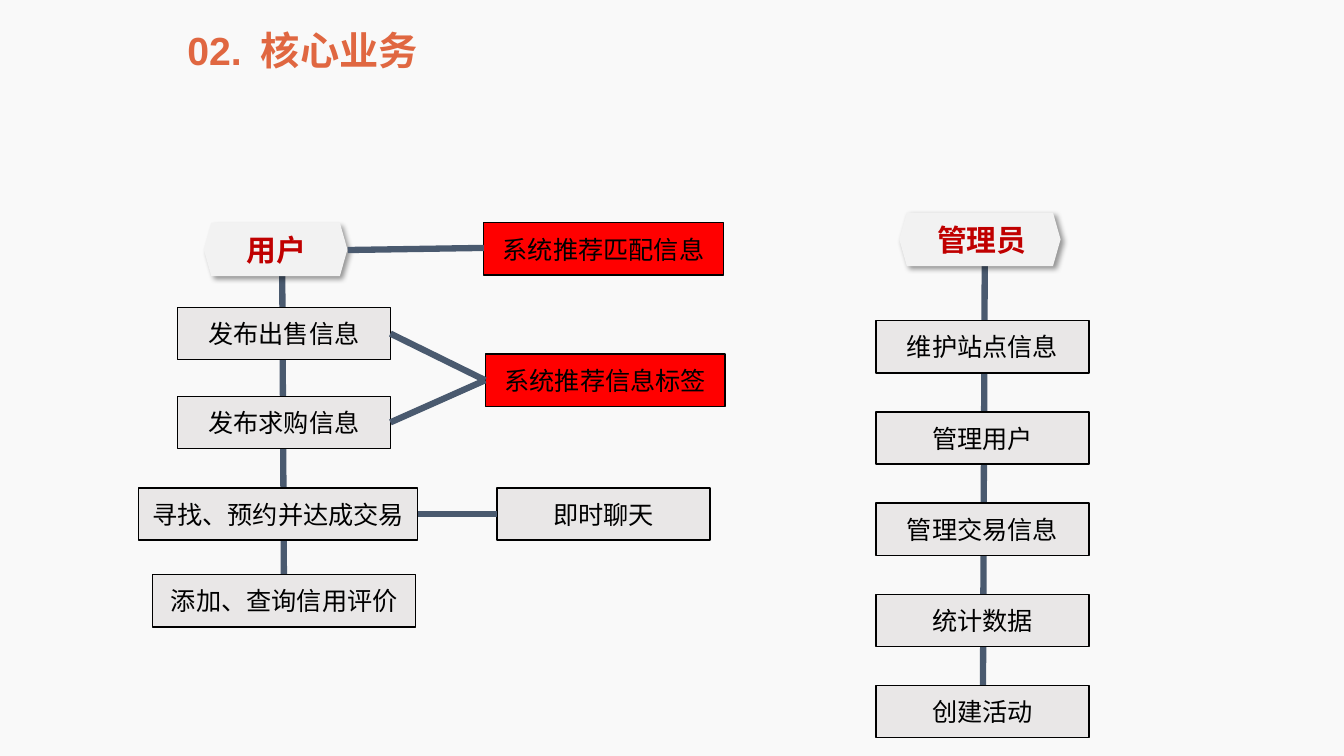
from dataclasses import dataclass

from lxml.etree import SubElement
from pptx import Presentation
from pptx.dml.color import RGBColor
from pptx.enum.shapes import MSO_CONNECTOR as Link, MSO_SHAPE as Kind
from pptx.enum.text import MSO_ANCHOR as Anchor, MSO_AUTO_SIZE as Fit, PP_ALIGN as Align
from pptx.oxml.ns import qn
from pptx.shapes.autoshape import Shape
from pptx.shapes.shapetree import GroupShapes, SlideShapes
from pptx.text.text import TextFrame
from pptx.util import Pt

PAPER = RGBColor(0xF9, 0xF9, 0xF9)
ORANGE = RGBColor(0xE0, 0x67, 0x41)
SLATE = RGBColor(0x4A, 0x5A, 0x6F)
GREY = RGBColor(0xE9, 0xE7, 0xE7)
PALE = RGBColor(0xF2, 0xF2, 0xF2)
RED = RGBColor(0xFF, 0, 0)
CRIMSON = RGBColor(0xC0, 0, 0)
BLACK = RGBColor(0, 0, 0)
LATIN = "Arial"
HAN = "Noto Sans CJK SC"
HIGH = 37.4
NOTCH = 5.4


@dataclass
class Box:
    text: str
    left: float
    top: float
    width: float = 152.2
    fill: RGBColor = GREY


@dataclass
class Line:
    x1: float
    y1: float
    x2: float
    y2: float


@dataclass
class Badge:
    text: str
    left: float
    top: float
    width: float
    label: float
    wide: float
    inset: float = 7.2


@dataclass
class Title:
    text: str
    left: float
    width: float


TITLES = [Title("核心业务", 179.3, 135.4), Title("02.", 126.7, 54)]

SPINES = [Line(703.4, 189.4, 702, 526.3), Line(201.6, 195.8, 203, 447.8)]

BADGES = [
    Badge("用户", 145.6, 159.1, 102.6, 159.1, 85, 17.3),
    Badge("管理员", 642.4, 151.9, 115.2, 662.4, 95),
]

TASKS = ["维护站点信息", "管理用户", "管理交易信息", "统计数据", "创建活动"]

BOXES = [
    Box("发布出售信息", 126.7, 219.6),
    Box("发布求购信息", 126.7, 283),
    Box("寻找、预约并达成交易", 98.8, 348.5, 199.6),
    Box("添加、查询信用评价", 109.1, 410.4, 187.9),
    Box("系统推荐匹配信息", 345.4, 159.1, 171.4, RED),
    Box("系统推荐信息标签", 346.6, 252.9, 171.4, RED),
    Box("即时聊天", 355, 348.5),
] + [Box(task, 625.7, 229 + 65.15 * i) for i, task in enumerate(TASKS)]

LINKS = [
    Line(278.9, 238.3, 346.6, 271.6),
    Line(278.9, 301.7, 346.6, 271.6),
    Line(248.4, 178.6, 345.6, 177.1),
    Line(298.6, 367.2, 355, 367.2),
]


def write(frame: TextFrame, text: str, size: float, colour: RGBColor,
          face: str = LATIN, bold: bool = False) -> None:
    run = frame.paragraphs[0].add_run()
    run.text = text
    font = run.font
    font.size, font.bold, font.name = Pt(size), bold, face
    font.color.rgb = colour
    if face == HAN:
        SubElement(run._r.get_or_add_rPr(), qn("a:ea"), typeface=face)


def draw_line(shapes: SlideShapes, line: Line) -> None:
    link = shapes.add_connector(Link.STRAIGHT, Pt(line.x1), Pt(line.y1),
                                Pt(line.x2), Pt(line.y2))
    link.line.color.rgb = SLATE
    link.line.width = Pt(4.5)
    SubElement(link._element.spPr, qn("a:effectLst"))


def draw_box(shapes: SlideShapes, box: Box) -> None:
    shape = shapes.add_shape(Kind.RECTANGLE, Pt(box.left), Pt(box.top),
                             Pt(box.width), Pt(HIGH))
    shape.shadow.inherit = False
    shape.fill.solid()
    shape.fill.fore_color.rgb = box.fill
    shape.line.color.rgb = BLACK
    shape.line.width = Pt(1)
    frame = shape.text_frame
    frame.word_wrap = True
    frame.vertical_anchor = Anchor.MIDDLE
    frame.paragraphs[0].alignment = Align.CENTER
    write(frame, box.text, 18, BLACK)


def draw_plate(shapes: GroupShapes, left: float, top: float,
               width: float, height: float) -> Shape:
    """Draw a plate whose left and right sides come to a point."""
    right, low, mid = left + width, top + height, top + height / 2
    spots = [(left + NOTCH, top), (right - NOTCH, top), (right, mid),
             (right - NOTCH, low), (left + NOTCH, low), (left, mid)]
    first, *rest = [(Pt(x), Pt(y)) for x, y in spots]
    form = shapes.build_freeform(*first, scale=1.0)
    form.add_line_segments(rest, close=True)
    plate = form.convert_to_shape()
    plate.shadow.inherit = False
    plate.fill.solid()
    plate.fill.fore_color.rgb = PALE
    plate.line.fill.background()
    return plate


def cast_shade(plate: Shape) -> None:
    effects = plate._element.spPr.find(qn("a:effectLst"))
    shade = SubElement(effects, qn("a:outerShdw"), blurRad=str(Pt(4)),
                       dist=str(Pt(3)), dir="2700000", algn="tl", rotWithShape="0")
    colour = SubElement(shade, qn("a:srgbClr"), val=str(BLACK))
    SubElement(colour, qn("a:alpha"), val="40000")


def draw_badge(shapes: SlideShapes, badge: Badge) -> None:
    group = shapes.add_group_shape().shapes
    cast_shade(draw_plate(group, badge.left, badge.top, badge.width, 38.2))
    draw_plate(group, badge.left + 2.7, badge.top + 2.2, badge.width - 5, 33.2)
    label = group.add_textbox(Pt(badge.label), Pt(badge.top + 3.2), Pt(badge.wide), Pt(33))
    frame = label.text_frame
    frame.word_wrap = True
    frame.auto_size = Fit.SHAPE_TO_FIT_TEXT
    frame.margin_left = Pt(badge.inset)
    write(frame, badge.text, 21.3, CRIMSON, HAN, True)


def draw_titles(shapes: SlideShapes) -> None:
    group = shapes.add_group_shape().shapes
    for title in TITLES:
        box = group.add_textbox(Pt(title.left), Pt(15.1), Pt(title.width), Pt(41))
        frame = box.text_frame
        frame.word_wrap = False
        frame.auto_size = Fit.SHAPE_TO_FIT_TEXT
        write(frame, title.text, 28, ORANGE, bold=True)


def main() -> None:
    deck = Presentation()
    deck.slide_width, deck.slide_height = Pt(960), Pt(540)
    slide = deck.slides.add_slide(deck.slide_layouts[6])
    slide.background.fill.solid()
    slide.background.fill.fore_color.rgb = PAPER
    shapes = slide.shapes
    for spine in SPINES:
        draw_line(shapes, spine)
    draw_titles(shapes)
    for badge in BADGES:
        draw_badge(shapes, badge)
    for box in BOXES:
        draw_box(shapes, box)
    for link in LINKS:
        draw_line(shapes, link)
    deck.save("out.pptx")


if __name__ == "__main__":
    main()
